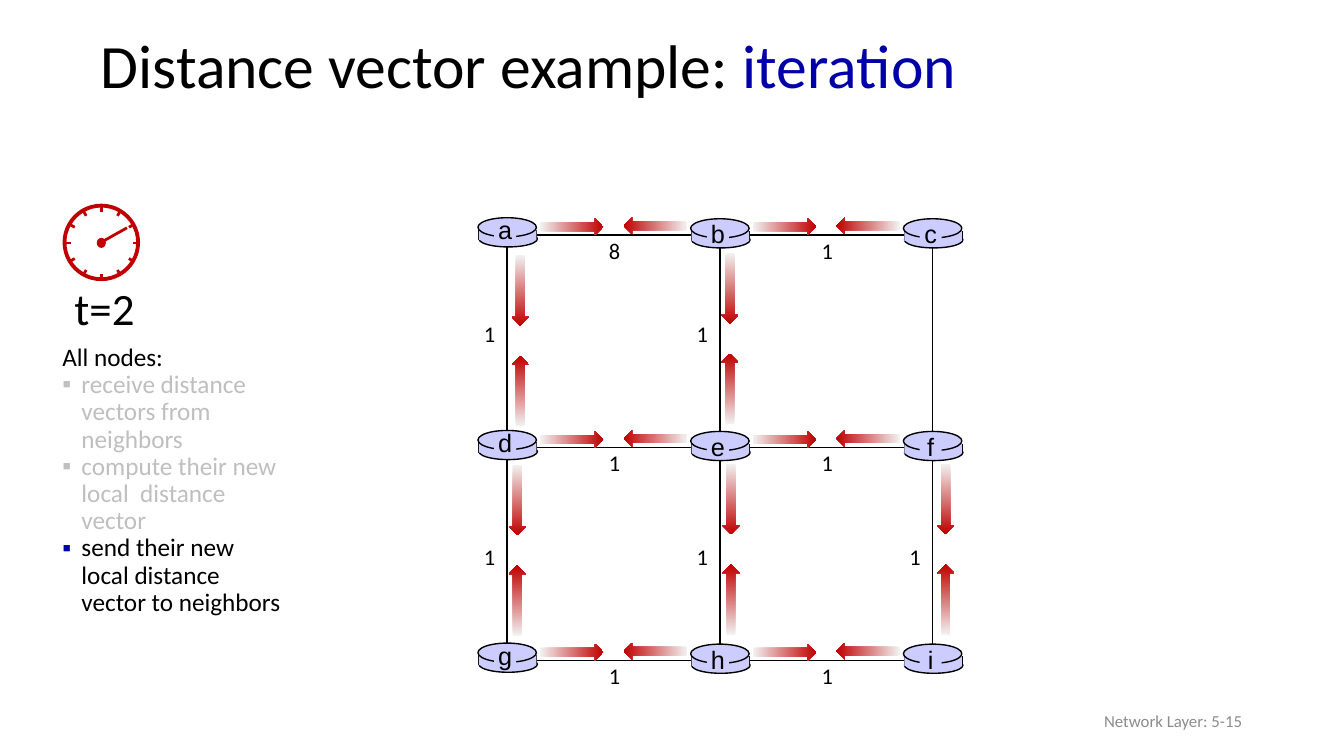
from dataclasses import dataclass
from math import cos, radians, sin

from lxml.etree import SubElement
from pptx import Presentation
from pptx.dml.color import RGBColor
from pptx.enum.shapes import MSO_CONNECTOR, MSO_SHAPE
from pptx.enum.text import MSO_ANCHOR, MSO_AUTO_SIZE, PP_ALIGN
from pptx.oxml.ns import qn
from pptx.util import Inches, Pt


@dataclass(frozen=True)
class Theme:
    black: str = "000000"
    blue: str = "0000A8"
    red: str = "C00000"
    pale: str = "F2F2F2"
    disc: str = "CCCCFF"
    faded: str = "BFBFBF"
    gray: str = "8C8C8C"
    body: str = "Calibri"
    sans: str = "Arial"
    title: int = 44
    time: int = 32
    text: int = 18
    cost: int = 16
    foot: int = 12


THEME = Theme()
COLS = [5.03, 7.14, 9.25]
ROWS = [2.33, 4.44, 6.55]
NODES = ["abc", "def", "ghi"]
COSTS = [[8, 1], [1, 1], [1, 1]]
# column, row, arrow offset right of the link and below the node
DOWN = [(0, 0, .13, .55), (1, 0, .1, .53), (0, 1, .1, .52),
        (1, 1, .11, .51), (2, 1, .13, .51)]
STEPS = [("receive distance vectors from neighbors", THEME.faded, THEME.faded),
         ("compute their new local  distance vector", THEME.faded, THEME.faded),
         ("send their new local distance vector to neighbors",
          THEME.black, THEME.blue)]


def rgb(color):
    return RGBColor.from_string(color)


def style(font, size, color, name=THEME.body):
    font.size = Pt(size)
    font.name = name
    font.color.rgb = rgb(color)


def add_text(shapes, box, text, size, color=THEME.black, name=THEME.body,
             align=PP_ALIGN.LEFT, wrap=False, fit=True):
    frame = shapes.add_textbox(*map(Inches, box)).text_frame
    frame.word_wrap = wrap
    if fit:
        frame.auto_size = MSO_AUTO_SIZE.SHAPE_TO_FIT_TEXT
    para = frame.paragraphs[0]
    para.text = text
    para.alignment = align
    style(para.font, size, color, name)
    return frame


def add_shape(shapes, kind, box, fill=None, line=None, width=1):
    shape = shapes.add_shape(kind, *map(Inches, box))
    shape.shadow.inherit = False
    if fill:
        shape.fill.solid()
        shape.fill.fore_color.rgb = rgb(fill)
    else:
        shape.fill.background()
    if line:
        shape.line.color.rgb = rgb(line)
        shape.line.width = Pt(width)
    else:
        shape.line.fill.background()
    return shape


def add_line(shapes, start, end, color=THEME.black, width=1):
    line = shapes.add_connector(MSO_CONNECTOR.STRAIGHT,
                                *map(Inches, (*start, *end)))
    line.line.color.rgb = rgb(color)
    line.line.width = Pt(width)
    SubElement(line._element.spPr, qn("a:effectLst"))
    return line


def add_arrow(shapes, x, y, length, turn):
    """Draw a fading arrow centred on x, y."""
    high = .17
    arrow = add_shape(shapes, MSO_SHAPE.RIGHT_ARROW,
                      (x - length / 2, y - high / 2, length, high))
    arrow.rotation = turn
    arrow.fill.gradient()
    arrow.fill.gradient_angle = 0
    for stop, color in zip(arrow.fill.gradient_stops, (THEME.pale, THEME.red)):
        stop.color.rgb = rgb(color)


def add_node(slide, x, y, name, lift):
    """Draw a router disc with its letter; lift raises the letter."""
    shapes = slide.shapes.add_group_shape().shapes
    add_shape(shapes, MSO_SHAPE.OVAL, (x - .28, y - .03, .58, .16),
              THEME.disc, THEME.black)
    for side in (x - .28, x + .29):
        add_line(shapes, (side, y - .04), (side, y + .06))
    add_shape(shapes, MSO_SHAPE.RECTANGLE, (x - .28, y - .04, .57, .1), THEME.disc)
    add_shape(shapes, MSO_SHAPE.OVAL, (x - .29, y - .16, .58, .19),
              THEME.disc, THEME.black)
    add_shape(shapes, MSO_SHAPE.RECTANGLE, (x - .13, y - .11, .22, .2), THEME.disc)
    add_text(shapes, (x - .19, y - .21 - lift, .34, .4), name, THEME.text,
             name=THEME.sans, align=PP_ALIGN.CENTER)


def add_links(slide):
    left, top = COLS[0], ROWS[0]
    frame = add_shape(slide.shapes, MSO_SHAPE.RECTANGLE,
                      (left, top, COLS[2] - left, ROWS[2] - top),
                      line=THEME.black)
    ends = [((COLS[1], ROWS[2]), (COLS[1], top), 2, 0),
            ((left, ROWS[1]), (COLS[2], ROWS[1]), 1, 3)]
    for start, end, first, last in ends:
        line = add_line(slide.shapes, start, end)
        line.begin_connect(frame, first)
        line.end_connect(frame, last)


def add_grid(slide):
    shapes = slide.shapes
    add_links(slide)
    for y, names, costs in zip(ROWS, NODES, COSTS):
        for x, name in zip(COLS, names):
            first = x == COLS[0]
            add_node(slide, x, y - .01 * first, name, .03 * first)
        for x, cost in zip(COLS, costs):
            add_text(shapes, (x + .91, y - .03, .32, .37), str(cost), THEME.cost)
            add_arrow(shapes, x + .64, y - .08, .63, 0)
            add_arrow(shapes, x + 1.47, y - .09, .63, 180)
    for col, row, right, below in DOWN:
        x, y = COLS[col], ROWS[row]
        add_text(shapes, (x - .33, y + .8 + .1 * row, .32, .37), "1", THEME.cost)
        add_arrow(shapes, x + right, y + below, .7, 90)
        add_arrow(shapes, x + right, y + below + 1, .7, 270)


def add_clock(slide, x, y):
    shapes = slide.shapes.add_group_shape().shapes
    add_text(shapes, (.64, 2.74, .81, .64), "t=2", THEME.time)
    add_shape(shapes, MSO_SHAPE.OVAL, (x - .37, y - .37, .73, .73),
              line=THEME.red, width=2.75)
    for hour in range(12):
        turn = radians(30 * hour)
        start, end = [(x + far * cos(turn), y + far * sin(turn))
                      for far in (.31, .37)]
        add_line(shapes, start, end, THEME.red, 2)
    add_shape(shapes, MSO_SHAPE.OVAL, (x - .05, y - .05, .09, .1), THEME.red)
    add_line(shapes, (x + .25, y - .15), (x, y - .01), THEME.red, 2)


def add_bullet(para, color):
    props = para._p.get_or_add_pPr()
    props.set("marL", str(Inches(.19)))
    props.set("indent", str(-Inches(.19)))
    tint = SubElement(props, qn("a:buClr"))
    SubElement(tint, qn("a:srgbClr"), val=color)
    SubElement(props, qn("a:buFont"), typeface=THEME.sans)
    SubElement(props, qn("a:buChar"), char="▪")


def add_steps(slide):
    frame = add_text(slide.shapes, (.52, 3.37, 2.4, 2.83), "All nodes:",
                     THEME.text, wrap=True)
    for text, color, mark in STEPS:
        para = frame.add_paragraph()
        para.text = text
        add_bullet(para, mark)
        style(para.font, THEME.text, color)
    for para in frame.paragraphs:
        para.line_spacing = .9


def set_title(slide):
    title = slide.shapes.title
    title.left, title.top, title.width, title.height = map(
        Inches, (.9, .19, 11.5, .98))
    title.text_frame.vertical_anchor = MSO_ANCHOR.MIDDLE
    para = title.text_frame.paragraphs[0]
    para.alignment = PP_ALIGN.LEFT
    para.line_spacing = .9
    for text, color in (("Distance vector example: ", THEME.black),
                        ("iteration", THEME.blue)):
        run = para.add_run()
        run.text = text
        style(run.font, THEME.title, color)


def main():
    deck = Presentation()
    deck.slide_width, deck.slide_height = Inches(13.33), Inches(7.5)
    slide = deck.slides.add_slide(deck.slide_layouts[5])
    set_title(slide)
    foot = add_text(slide.shapes, (9.42, 6.95, 3, .4), "Network Layer: 5-15",
                    THEME.foot, THEME.gray, align=PP_ALIGN.RIGHT,
                    wrap=True, fit=False)
    foot.vertical_anchor = MSO_ANCHOR.MIDDLE
    add_grid(slide)
    add_clock(slide, 1.01, 2.41)
    add_steps(slide)
    deck.save("out.pptx")


if __name__ == "__main__":
    main()
